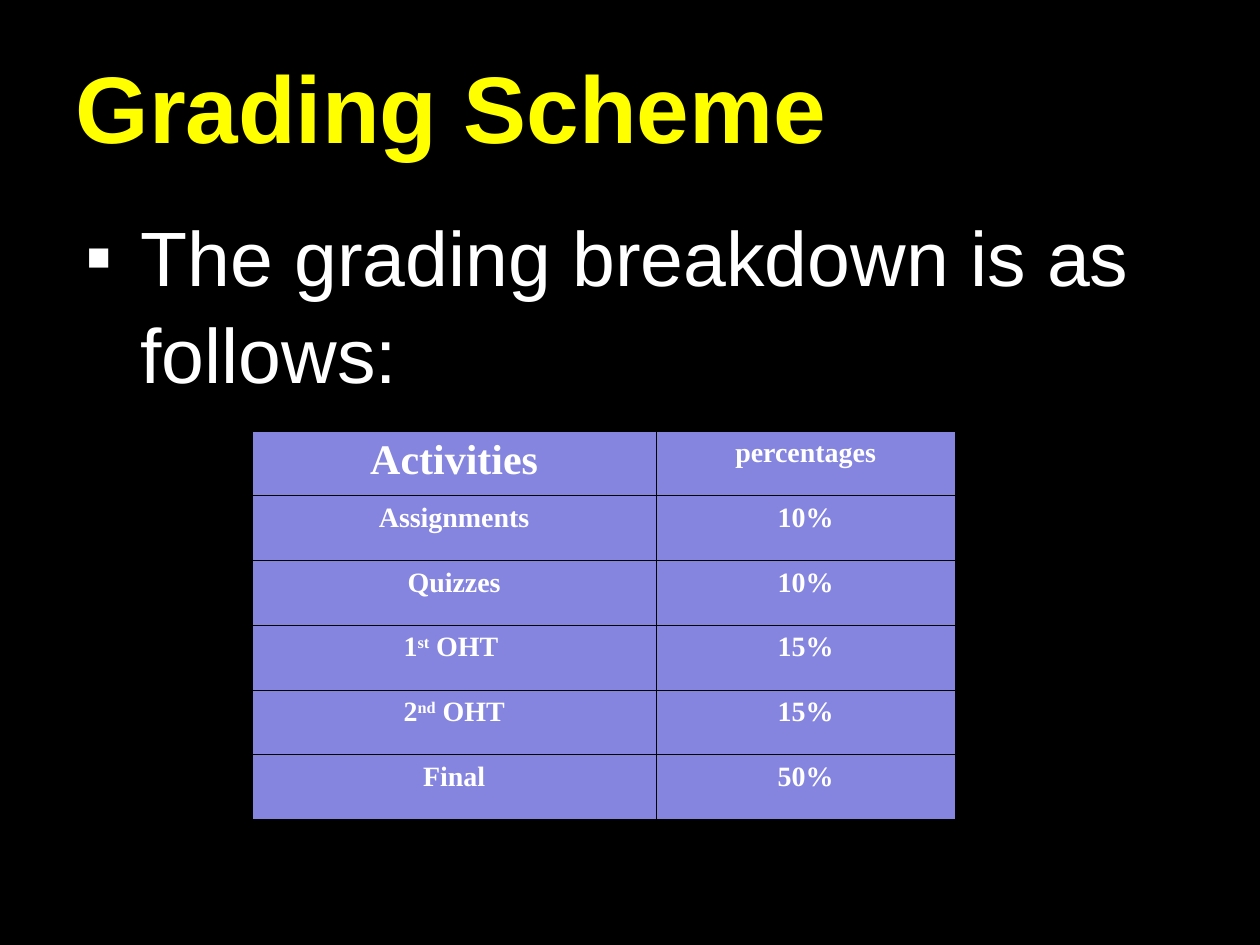
from dataclasses import dataclass

from lxml.etree import SubElement
from pptx import Presentation
from pptx.dml.color import RGBColor
from pptx.enum.text import MSO_ANCHOR as Anchor, MSO_AUTO_SIZE as AutoSize, PP_ALIGN as Align
from pptx.oxml.ns import qn
from pptx.util import Cm, Pt

BLACK, WHITE, YELLOW, VIOLET = "000000", "FFFFFF", "FFFF00", "8585E0"


@dataclass
class Activity:
    name: str
    share: str
    ordinal: str = ""
    rest: str = ""
    name_size: int = 16


ACTIVITIES = [
    Activity("Activities", "percentages", name_size=24),
    Activity("Assignments", "10%"),
    Activity("Quizzes", "10%"),
    Activity("1", "15%", "st", " OHT "),
    Activity("2", "15%", "nd", " OHT"),
    Activity("Final", "50%"),
]


def color(value: str) -> RGBColor:
    return RGBColor.from_string(value)


def add_run(p, text: str, size: int, font="Arial", fill=WHITE, bold=False, baseline=0):
    r = p.add_run()
    r.text = text
    r.font.name, r.font.size, r.font.bold = font, Pt(size), bold
    r.font.color.rgb = color(fill)
    if baseline:
        r.font._element.set("baseline", str(baseline * 1000))
    return r


def add_solid(parent, value: str):
    fill = SubElement(parent, qn("a:solidFill"))
    SubElement(fill, qn("a:srgbClr"), val=value)


def add_text_shadow(r, value: str):
    effects = SubElement(r.font._element, qn("a:effectLst"))
    r.font._element.find(qn("a:solidFill")).addnext(effects)
    shadow = SubElement(effects, qn("a:outerShdw"), dist="25400", dir="2700000")
    SubElement(shadow, qn("a:srgbClr"), val=value)


def add_title(s, text: str):
    sp = s.shapes.title
    sp.left, sp.top, sp.width, sp.height = Cm(1.27), Cm(1.07), Cm(23.93), Cm(2.11)
    tf = sp.text_frame
    tf.auto_size, tf.vertical_anchor = AutoSize.NONE, Anchor.MIDDLE
    p = tf.paragraphs[0]
    p.alignment = Align.LEFT
    add_text_shadow(add_run(p, text, 54, fill=YELLOW, bold=True), "C0C0C0")


def add_bullet_text(s, text: str):
    tf = s.shapes.add_textbox(Cm(1.47), Cm(4.01), Cm(23.7), Cm(12.9)).text_frame
    tf.word_wrap = True
    p = tf.paragraphs[0]
    p.line_spacing = 1.05
    pPr = p._p.get_or_add_pPr()
    pPr.set("marL", str(Cm(1.11)))
    pPr.set("indent", str(-Cm(1.11)))
    bullet_color = SubElement(pPr, qn("a:buClr"))
    SubElement(bullet_color, qn("a:srgbClr"), val=WHITE)
    SubElement(pPr, qn("a:buFont"), typeface="Arial")
    SubElement(pPr, qn("a:buChar"), char="▪")
    add_run(p, text, 44)


def style_cell(cell):
    tcPr = cell._tc.get_or_add_tcPr()
    for side in ("lnL", "lnR", "lnT", "lnB"):
        add_solid(SubElement(tcPr, qn(f"a:{side}"), w=str(Pt(0.45))), BLACK)
    cell.fill.solid()
    cell.fill.fore_color.rgb = color(VIOLET)
    cell.margin_left = cell.margin_right = Cm(0.2)
    cell.margin_top = cell.margin_bottom = Cm(0.13)
    cell.vertical_anchor = Anchor.TOP


def fill_cell(cell, text: str, size: int, ordinal="", rest=""):
    style_cell(cell)
    p = cell.text_frame.paragraphs[0]
    p.alignment = Align.CENTER
    for part, baseline in ((text, 0), (ordinal, 30), (rest, 0)):
        if part:
            add_run(p, part, size, "Times New Roman", bold=True, baseline=baseline)


def add_grading_table(s, activities: list[Activity]):
    table = s.shapes.add_table(
        len(activities), 2, Cm(5.08), Cm(8.69), Cm(14.17), Cm(7.83)
    ).table
    table.columns[0].width, table.columns[1].width = Cm(8.15), Cm(6.02)
    for i, a in enumerate(activities):
        fill_cell(table.cell(i, 0), a.name, a.name_size, a.ordinal, a.rest)
        fill_cell(table.cell(i, 1), a.share, 16)


def main():
    prs = Presentation()
    prs.slide_width, prs.slide_height = Cm(25.4), Cm(19.05)
    s = prs.slides.add_slide(prs.slide_layouts[5])
    s.background.fill.solid()
    s.background.fill.fore_color.rgb = color(BLACK)
    add_title(s, "Grading Scheme")
    add_bullet_text(s, "The grading breakdown is as follows:")
    add_grading_table(s, ACTIVITIES)
    prs.save("out.pptx")


if __name__ == "__main__":
    main()
